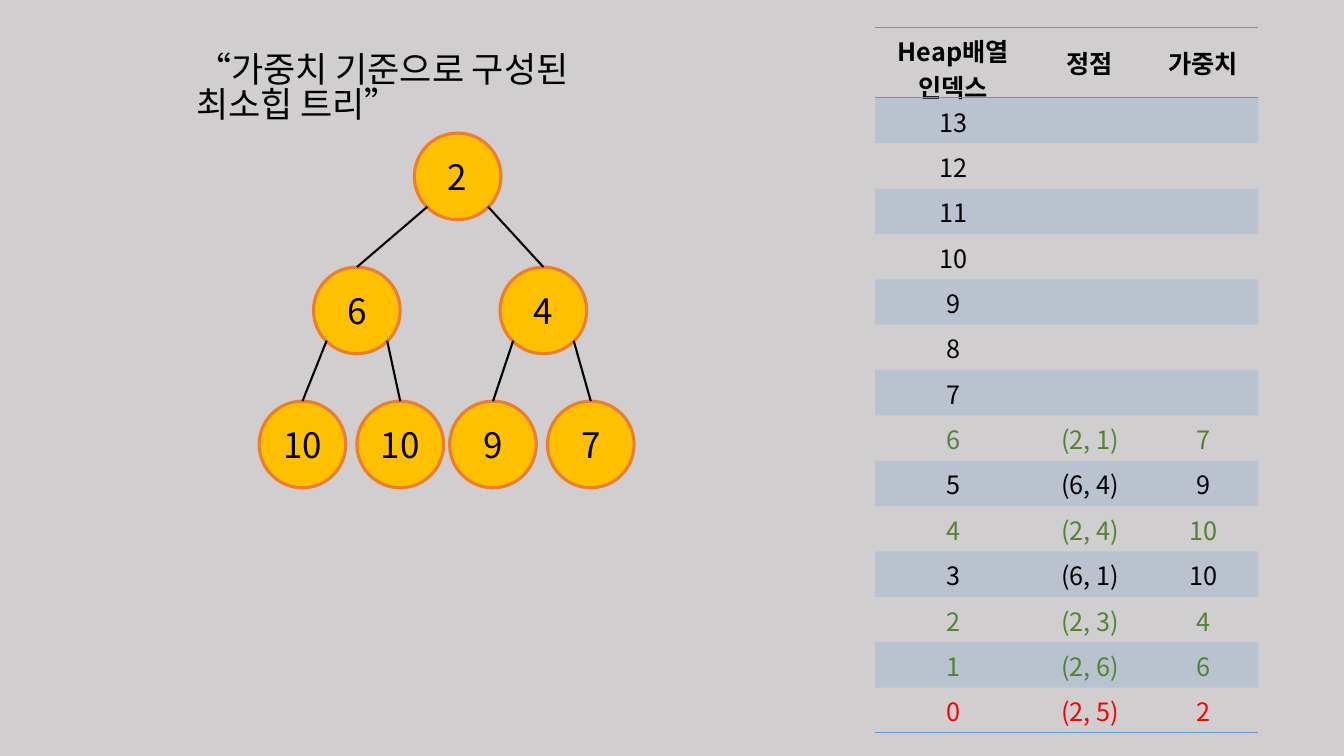
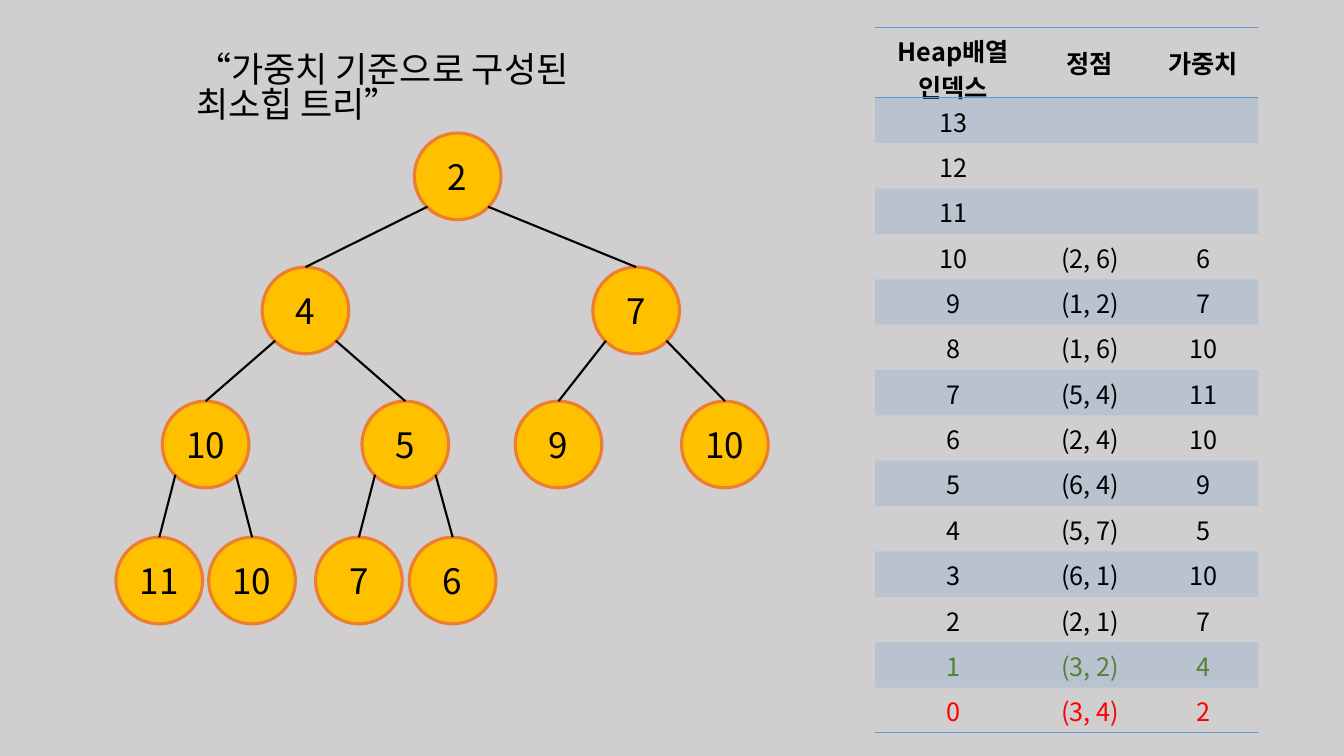
import math

import pptx
import pptx.dml.color
import pptx.enum.shapes
import pptx.enum.text
import pptx.oxml.ns
import pptx.util
from lxml import etree

PX = 9144
FONT = "Noto Sans CJK KR"
BLACK, GREEN, RED = "000000", "548235", "FF0000"
BACKGROUND, NODE_FILL, NODE_LINE, TABLE_BLUE = "D0CECE", "FFC000", "ED7D31", "5B9BD5"
NO_STYLE = "{2D5ABB26-0587-4C30-8999-92F81FD0307C}"
TITLE = "“가중치 기준으로 구성된 최소힙 트리”"
HEADERS = ("Heap배열\n인덱스", "정점", "가중치")
COLUMNS = (155, 116, 109)
HEADER_HEIGHT, ROW_HEIGHT, CAPACITY = 66, 45, 14
RADIUS = 43
LEVEL_TOPS = (0, 133, 266, 401)

# Each heap entry: vertex pair, weight, left offset of its node
HEAPS = (
    ([("(2, 5)", 2, 296), ("(2, 6)", 6, 196), ("(2, 3)", 4, 381),
      ("(6, 1)", 10, 142), ("(2, 4)", 10, 239), ("(6, 4)", 9, 331),
      ("(2, 1)", 7, 428)],
     {0: RED, 1: GREEN, 2: GREEN, 4: GREEN, 6: GREEN}),
    ([("(3, 4)", 2, 296), ("(3, 2)", 4, 145), ("(2, 1)", 7, 473),
      ("(6, 1)", 10, 46), ("(5, 7)", 5, 244), ("(6, 4)", 9, 396),
      ("(2, 4)", 10, 561), ("(5, 4)", 11, 0), ("(1, 6)", 10, 92),
      ("(1, 2)", 7, 198), ("(2, 6)", 6, 291)],
     {0: RED, 1: GREEN}),
)


def px(*lengths):
    """Turn pixel lengths into EMU."""
    return [pptx.util.Emu(n * PX) for n in lengths]


def rgb(code):
    """Turn a hex string into a colour."""
    return pptx.dml.color.RGBColor.from_string(code)


def write(tf, text, size, color=BLACK, bold=False, align=None):
    """Set the text of a frame and format all its runs."""
    tf.text = text
    for p in tf.paragraphs:
        p.alignment = align
        for r in p.runs:
            r.font.size = pptx.util.Pt(size)
            r.font.bold = bold
            r.font.name = FONT
            r.font.color.rgb = rgb(color)
            ea = etree.SubElement(r.font._element, pptx.oxml.ns.qn("a:ea"))
            ea.set("typeface", FONT)


def add_title(slide, x, y, w, h):
    """Place the title in its box."""
    tf = slide.shapes.add_textbox(*px(x, y, w, h)).text_frame
    tf.word_wrap = True
    tf.auto_size = pptx.enum.text.MSO_AUTO_SIZE.SHAPE_TO_FIT_TEXT
    write(tf, TITLE, 25)
    tf.paragraphs[0].line_spacing = 0.83


def add_node(slide, x, y, weight):
    """Draw one round node holding its weight."""
    s = slide.shapes.add_shape(pptx.enum.shapes.MSO_SHAPE.OVAL,
                               *px(x, y, 2 * RADIUS, 2 * RADIUS))
    s.shadow.inherit = False
    s.fill.solid()
    s.fill.fore_color.rgb = rgb(NODE_FILL)
    s.line.color.rgb = rgb(NODE_LINE)
    s.line.width = pptx.util.Pt(2.25)
    s.text_frame.vertical_anchor = pptx.enum.text.MSO_ANCHOR.MIDDLE
    s.text_frame.word_wrap = False
    write(s.text_frame, str(weight), 25, align=pptx.enum.text.PP_ALIGN.CENTER)
    return s


def add_edge(slide, x, y, child):
    """Draw a line from a point to the top of a child node."""
    c = slide.shapes.add_connector(pptx.enum.shapes.MSO_CONNECTOR.STRAIGHT,
                                   *px(x, y, x, y))
    c.end_connect(child, 0)
    c.line.color.rgb = rgb(BLACK)
    c.line.width = pptx.util.Pt(1.5)
    etree.SubElement(c._element.spPr, pptx.oxml.ns.qn("a:effectLst"))


def add_tree(slide, x, y, heap):
    """Draw the heap as a binary tree from its top left corner."""
    diagonal = round(RADIUS * math.sqrt(0.5))
    places = []
    for i, (_, weight, left) in enumerate(heap):
        level = (i + 1).bit_length() - 1
        places.append((x + left, y + LEVEL_TOPS[level]))
        node = add_node(slide, *places[i], weight)
        if i:
            parent_x, parent_y = places[(i - 1) // 2]
            side = -diagonal if i % 2 else diagonal
            add_edge(slide, parent_x + RADIUS + side,
                     parent_y + RADIUS + diagonal, node)


def set_borders(cell, tags):
    """Give a cell blue lines on the named sides."""
    for i, tag in enumerate(tags):
        ln = etree.Element(pptx.oxml.ns.qn(tag), w="12700")
        fill = etree.SubElement(ln, pptx.oxml.ns.qn("a:solidFill"))
        etree.SubElement(fill, pptx.oxml.ns.qn("a:srgbClr"), val=TABLE_BLUE)
        cell._tc.get_or_add_tcPr().insert(i, ln)


def fill_cell(cell, banded):
    """Give a cell a translucent band or no fill."""
    if not banded:
        cell.fill.background()
        return
    cell.fill.solid()
    cell.fill.fore_color.rgb = rgb(TABLE_BLUE)
    color = cell._tc.tcPr.find(".//" + pptx.oxml.ns.qn("a:srgbClr"))
    etree.SubElement(color, pptx.oxml.ns.qn("a:alpha"), val="20000")


def add_heap_table(slide, x, y, heap, colors):
    """List the heap array with its highest index first."""
    height = HEADER_HEIGHT + CAPACITY * ROW_HEIGHT
    frame = slide.shapes.add_table(CAPACITY + 1, len(COLUMNS),
                                   *px(x, y, sum(COLUMNS), height))
    table = frame.table
    table.first_row = table.horz_banding = False
    frame._element.xpath(".//a:tableStyleId")[0].text = NO_STYLE
    for column, width in zip(table.columns, px(*COLUMNS)):
        column.width = width
    heights = px(HEADER_HEIGHT, *[ROW_HEIGHT] * CAPACITY)
    borders = {0: ("a:lnT", "a:lnB"), CAPACITY: ("a:lnB",)}
    for n, row in enumerate(table.rows):
        row.height = heights[n]
        index = CAPACITY - n
        if n == 0:
            texts = HEADERS
        elif index < len(heap):
            texts = (str(index), heap[index][0], str(heap[index][1]))
        else:
            texts = (str(index), "", "")
        for cell, text in zip(row.cells, texts):
            cell.vertical_anchor = pptx.enum.text.MSO_ANCHOR.MIDDLE
            write(cell.text_frame, text, 18, colors.get(index, BLACK), n == 0,
                  pptx.enum.text.PP_ALIGN.CENTER)
            fill_cell(cell, n % 2 == 1)
            set_borders(cell, borders.get(n, ()))


def add_heap_slide(prs, heap, colors):
    """Add a slide with a heap tree and its array."""
    slide = prs.slides.add_slide(prs.slide_layouts[6])
    slide.background.fill.solid()
    slide.background.fill.fore_color.rgb = rgb(BACKGROUND)
    add_title(slide, 185, 49, 476, 52)
    add_tree(slide, 115, 132, heap)
    add_heap_table(slide, 868, 27, heap, colors)


def main():
    """Build and save the presentation."""
    prs = pptx.Presentation()
    prs.slide_width, prs.slide_height = px(1333, 750)
    for heap, colors in HEAPS:
        add_heap_slide(prs, heap, colors)
    prs.save("out.pptx")


if __name__ == "__main__":
    main()
